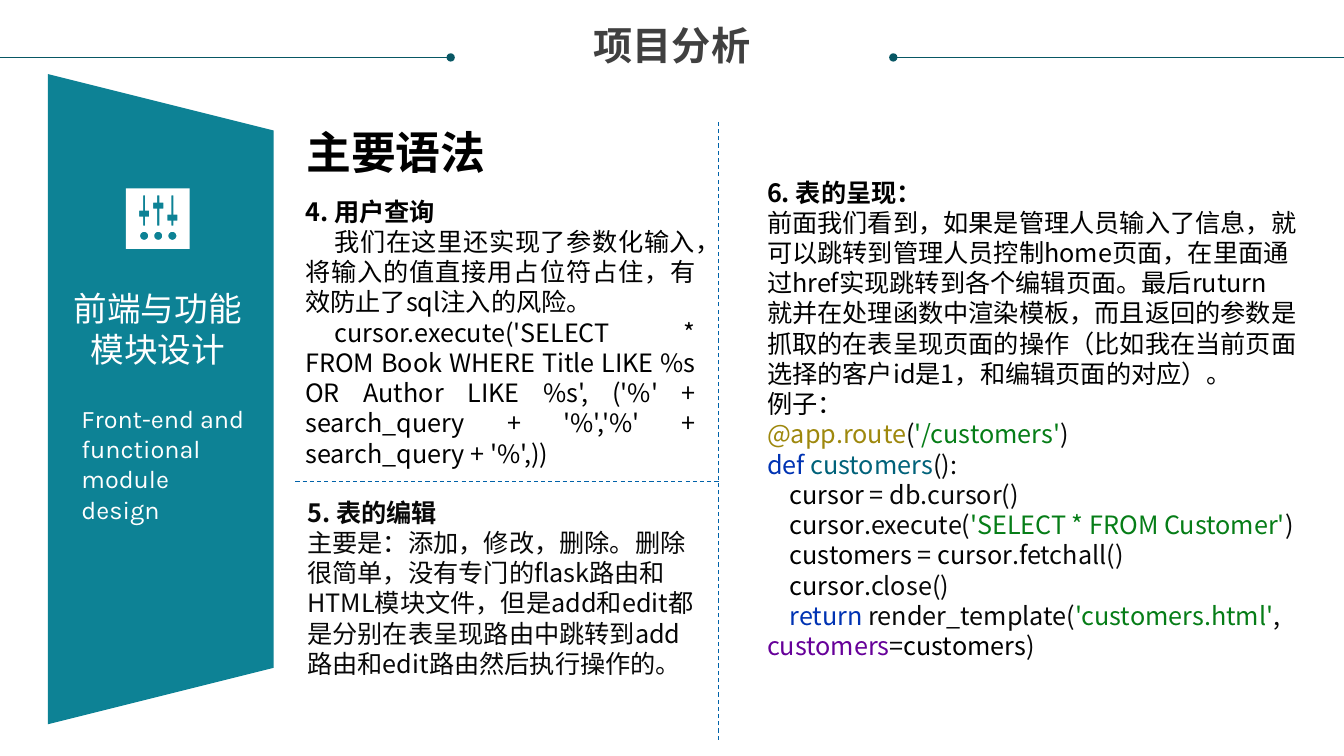
from dataclasses import dataclass
from math import cos, pi, sin

from lxml.etree import SubElement
from pptx import Presentation
from pptx.dml.color import RGBColor
from pptx.enum.dml import MSO_LINE
from pptx.enum.shapes import MSO_CONNECTOR, MSO_SHAPE
from pptx.enum.text import MSO_ANCHOR, PP_ALIGN
from pptx.oxml.ns import qn
from pptx.util import Inches, Pt


@dataclass(frozen=True)
class Theme:
    """Colours, fonts and type sizes of the slide."""
    cjk: str = "Noto Sans CJK SC"
    latin: str = "Karla"
    title: int = 28
    heading: int = 32
    topic: int = 24
    body: int = 18
    leading: float = 1.2
    title_grey: str = "404040"
    white: str = "FFFFFF"
    black: str = "000000"
    panel: str = "0D8295"
    rule: str = "085764"
    divider: str = "0062A9"
    code: str = "080808"
    decorator: str = "9E880D"
    string: str = "067D17"
    keyword: str = "0033B3"
    function: str = "00627A"
    argument: str = "660099"


THEME = Theme()

QUERY = [
    "我们在这里还实现了参数化输入，将输入的值直接用占位符占住，有效防止了sql注入的风险。",
    "cursor.execute('SELECT * FROM Book WHERE Title LIKE %s OR Author LIKE %s', "
    "('%' + search_query + '%','%' + search_query + '%',))",
]
EDITING = [
    "主要是：添加，修改，删除。删除很简单，没有专门的flask路由和HTML模块文件，"
    "但是add和edit都是分别在表呈现路由中跳转到add路由和edit路由然后执行操作的。",
]
DISPLAY = [
    "前面我们看到，如果是管理人员输入了信息，就可以跳转到管理人员控制home页面，在里面"
    "通过href实现跳转到各个编辑页面。最后ruturn 就并在处理函数中渲染模板，而且返回"
    "的参数是抓取的在表呈现页面的操作（比如我在当前页面选择的客户id是1，和编辑页面的对应）。",
    "例子：",
]
CODE = [
    [("@app.route", THEME.decorator), ("(", THEME.code),
     ("'/customers'", THEME.string), (")", THEME.code)],
    [("def ", THEME.keyword), ("customers", THEME.function), ("():", THEME.code)],
    [("    cursor ", THEME.black), ("= db.cursor()", THEME.code)],
    [("    cursor", THEME.black), (".execute(", THEME.code),
     ("'SELECT * FROM Customer'", THEME.string), (")", THEME.code)],
    [("    customers ", THEME.black), ("= ", THEME.code),
     ("cursor", THEME.black), (".fetchall()", THEME.code)],
    [("    cursor", THEME.black), (".close()", THEME.code)],
    [("    return ", THEME.keyword), ("render_template(", THEME.code),
     ("'customers.html'", THEME.string), (", ", THEME.code),
     ("customers", THEME.argument), ("=", THEME.code),
     ("customers", THEME.black), (")", THEME.code)],
]


def rgb(value):
    """Turn a hex string into a colour."""
    return RGBColor.from_string(value)


def paint(shape, colour):
    """Give a shape a plain fill without line or shadow."""
    shape.shadow.inherit = False
    shape.fill.solid()
    shape.fill.fore_color.rgb = rgb(colour)
    shape.line.fill.background()


def add_frame(slide, box, insets=(0, 0, 0, 0), anchor=MSO_ANCHOR.TOP):
    """Add a wrapping text box and return its text frame."""
    frame = slide.shapes.add_textbox(*map(Inches, box)).text_frame
    frame.word_wrap = True
    frame.vertical_anchor = anchor
    (frame.margin_left, frame.margin_top,
     frame.margin_right, frame.margin_bottom) = map(Inches, insets)
    return frame


def style(paragraph, size, colour, bold=False, align=PP_ALIGN.LEFT, face=THEME.cjk):
    """Set alignment, line spacing and font of a paragraph."""
    paragraph.alignment = align
    if face == THEME.cjk:
        paragraph.line_spacing = Pt(size * THEME.leading)
    font = paragraph.font
    font.size, font.bold, font.name = Pt(size), bold, face
    font.color.rgb = rgb(colour)
    defaults = paragraph._p.pPr.find(qn("a:defRPr"))
    SubElement(defaults, qn("a:ea")).set("typeface", face)


def add_label(slide, box, text, size, colour, insets=(0, 0, 0, 0), **look):
    """Add a text box holding one paragraph."""
    paragraph = add_frame(slide, box, insets).paragraphs[0]
    paragraph.text = text
    style(paragraph, size, colour, **look)


def add_section(slide, box, heading, texts, align=PP_ALIGN.LEFT, indent=0,
                colour=THEME.black):
    """Add a numbered heading with its body paragraphs."""
    frame = add_frame(slide, box, (0.1, 0.05, 0.1, 0), MSO_ANCHOR.MIDDLE)
    first = frame.paragraphs[0]
    first.text = heading
    style(first, THEME.body, colour, bold=True, align=align)
    for text in texts:
        body = frame.add_paragraph()
        body.text = text
        if indent:
            body._p.get_or_add_pPr().set("indent", str(Inches(indent)))
        style(body, THEME.body, colour, align=align)
    return frame


def add_code(frame, lines):
    """Add coloured code lines as one paragraph."""
    paragraph = frame.add_paragraph()
    for number, line in enumerate(lines):
        if number:
            paragraph.add_line_break()
        for text, colour in line:
            run = paragraph.add_run()
            run.text = text
            run.font.color.rgb = rgb(colour)
    style(paragraph, THEME.body, THEME.code)


def add_rule(slide, start, end, colour, width, dashed=False, dot=False):
    """Add a straight line, dashed or ending in a dot."""
    rule = slide.shapes.add_connector(
        MSO_CONNECTOR.STRAIGHT, *map(Inches, (*start, *end)))
    rule.line.color.rgb = rgb(colour)
    rule.line.width = Pt(width)
    if dashed:
        rule.line.dash_style = MSO_LINE.DASH
    if dot:
        SubElement(rule.line._ln, qn("a:tailEnd")).set("type", "oval")
    SubElement(rule._element.spPr, qn("a:effectLst"))


def slider_outline(x, knob):
    """Return the outline of a slider stem with its knob."""
    right = [(0.01, 1.94), (0.01, knob), (0.05, knob),
             (0.05, knob + 0.06), (0.01, knob + 0.06), (0.01, 2.24)]
    return ([(x + dx, y) for dx, y in right]
            + [(x - dx, y) for dx, y in reversed(right)])


def dot_outline(x, y, radius, steps=24):
    """Return the outline of a round dot."""
    angles = [2 * pi * step / steps for step in range(steps)]
    return [(x + radius * cos(a), y + radius * sin(a)) for a in angles]


def add_slider_icon(slide):
    """Add the white tile with three sliders and dots cut out."""
    outlines = [[(1.25, 1.87), (1.25, 2.47), (1.88, 2.47), (1.88, 1.87)]]
    for column, knob in enumerate((2.09, 2.01, 2.13)):
        x = 1.43 + 0.14 * column
        outlines += [slider_outline(x, knob), dot_outline(x, 2.34, 0.04)]
    builder = None
    for outline in outlines:
        start, *rest = [(Inches(x), Inches(y)) for x, y in outline]
        if builder is None:
            builder = slide.shapes.build_freeform(*start)
        else:
            builder.move_to(*start)
        builder.add_line_segments(rest, close=True)
    paint(builder.convert_to_shape(), THEME.white)


def add_side_panel(slide):
    """Add the slanted topic panel on the left."""
    panel = slide.shapes.add_shape(
        MSO_SHAPE.TRAPEZOID, *map(Inches, (-1.63, 2.84, 6.45, 2.24)))
    panel.rotation = 90
    paint(panel, THEME.panel)
    add_label(slide, (0.71, 2.86, 1.71, 0.81), "前端与功能模块设计",
              THEME.topic, THEME.white, align=PP_ALIGN.CENTER)
    add_slider_icon(slide)
    add_label(slide, (0.71, 3.95, 1.89, 1.01), "Front-end and functional module design",
              THEME.body, THEME.white, (0.1, 0.05, 0.1, 0.05), face=THEME.latin)


def main():
    """Build the slide and save it."""
    deck = Presentation()
    deck.slide_width, deck.slide_height = Inches(13.33), Inches(7.5)
    slide = deck.slides.add_slide(deck.slide_layouts[6])

    add_label(slide, (0.25, 0.21, 12.83, 0.85), "项目分析", THEME.title,
              THEME.title_grey, bold=True, align=PP_ALIGN.CENTER)
    for edge, inner in ((0, 4.47), (13.33, 8.86)):
        add_rule(slide, (edge, 0.57), (inner, 0.57), THEME.rule, 0.5, dot=True)
    add_side_panel(slide)

    add_label(slide, (2.94, 1.19, 2.24, 0.64), "主要语法", THEME.heading,
              THEME.black, (0.1, 0.05, 0.1, 0.05), bold=True)
    add_section(slide, (2.93, 1.88, 4.07, 2.78), "4. 用户查询", QUERY,
                align=PP_ALIGN.JUSTIFY, indent=0.29)
    add_section(slide, (2.95, 4.87, 4.08, 1.87), "5. 表的编辑", EDITING,
                colour=THEME.code)
    display = add_section(slide, (7.51, 1.53, 5.46, 5.2), "6. 表的呈现：", DISPLAY)
    add_code(display, CODE)

    for start, end in (((7.13, 7.34), (7.13, 1.19)), ((2.93, 4.78), (7.13, 4.78))):
        add_rule(slide, start, end, THEME.divider, 0.75, dashed=True)
    deck.save("out.pptx")


if __name__ == "__main__":
    main()
